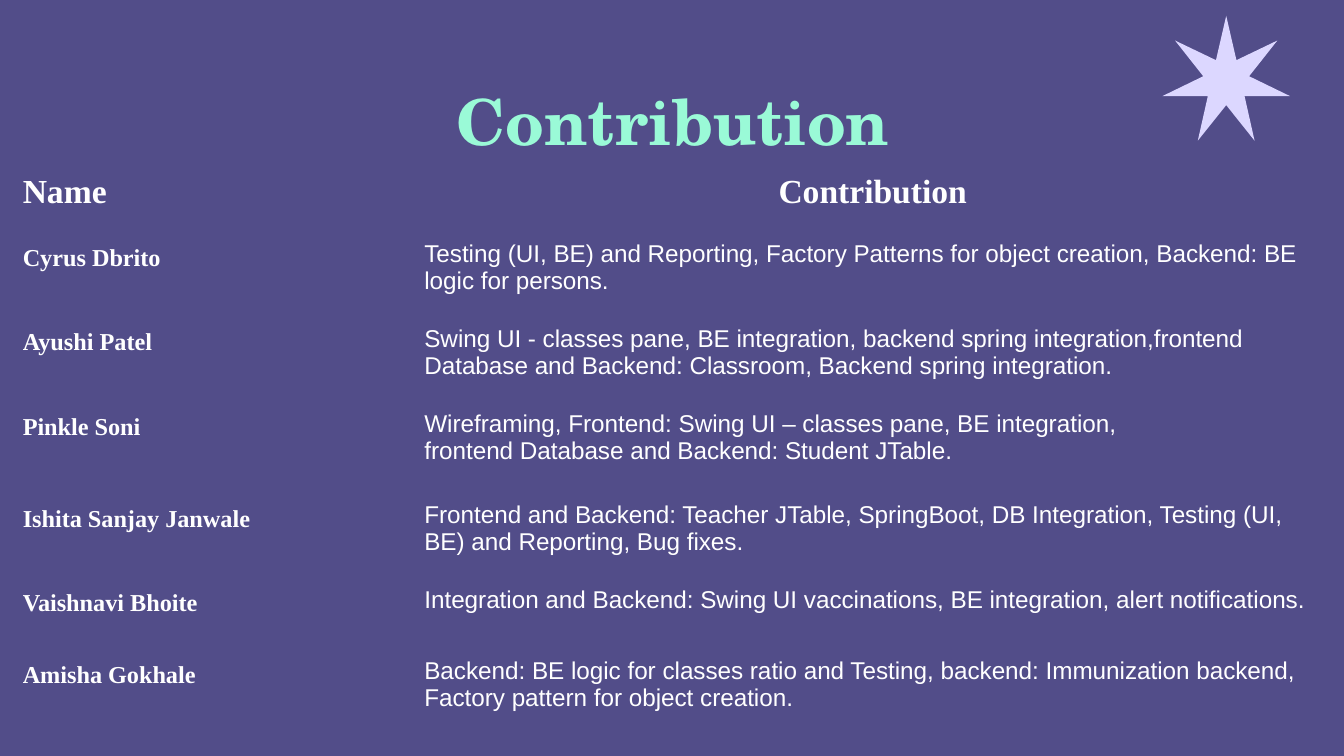
from dataclasses import dataclass

from pptx import Presentation
from pptx.dml.color import RGBColor
from pptx.enum.shapes import MSO_SHAPE
from pptx.enum.text import MSO_ANCHOR, PP_ALIGN
from pptx.util import Cm, Pt

STAR = MSO_SHAPE.STAR_7_POINT
MIDDLE = MSO_ANCHOR.MIDDLE
LEFT, CENTER = PP_ALIGN.LEFT, PP_ALIGN.CENTER
PLAIN_TABLE_STYLE = "{2D5ABB26-0587-4C30-8999-92F81FD0307C}"


@dataclass(frozen=True)
class Theme:
    background: RGBColor = RGBColor(0x52, 0x4D, 0x89)
    star: RGBColor = RGBColor(0xDC, 0xD7, 0xFF)
    title: RGBColor = RGBColor(0x9A, 0xFA, 0xD7)
    body: RGBColor = RGBColor(0xFF, 0xFF, 0xFF)
    title_size: int = 34
    heading_size: int = 18
    body_size: int = 13
    title_font: str = "TeX Gyre Schola"
    name_font: str = "Times New Roman"
    work_font: str = "Arial"


@dataclass(frozen=True)
class TextFormat:
    font: str
    size: int
    color: RGBColor
    bold: bool = True
    align: PP_ALIGN = LEFT
    spacing: float = 1.0


@dataclass(frozen=True)
class Member:
    name: str
    work: str
    height: float


THEME = Theme()
TITLE = TextFormat(THEME.title_font, THEME.title_size, THEME.title, align=CENTER)
NAME_HEADING = TextFormat(THEME.name_font, THEME.heading_size, THEME.body, spacing=1.15)
WORK_HEADING = TextFormat(THEME.name_font, THEME.heading_size, THEME.body,
                          align=CENTER, spacing=1.15)
NAME = TextFormat(THEME.name_font, THEME.body_size, THEME.body, spacing=1.15)
WORK = TextFormat(THEME.work_font, THEME.body_size, THEME.body, bold=False)

PADDING = Cm(0.25)
HEADING_HEIGHT = 1.27
COLUMN_WIDTHS = (7.59, 17.45)
MEMBERS = (
    Member("Cyrus Dbrito",
           "Testing (UI, BE) and Reporting, Factory Patterns for object creation, "
           "Backend: BE logic for persons.", 1.57),
    Member("Ayushi Patel",
           "Swing UI - classes pane, BE integration, backend spring integration,"
           "frontend Database and Backend: Classroom, Backend spring integration.", 1.57),
    Member("Pinkle Soni",
           "Wireframing, Frontend: Swing UI – classes pane, BE integration,\n"
           "frontend Database and Backend: Student JTable.", 1.73),
    Member("Ishita Sanjay Janwale",
           "Frontend and Backend: Teacher JTable, SpringBoot, DB Integration, "
           "Testing (UI, BE) and Reporting, Bug fixes.", 1.32),
    Member("Vaishnavi Bhoite",
           "Integration and Backend: Swing UI vaccinations, BE integration, "
           "alert notifications.", 1.35),
    Member("Amisha Gokhale",
           "Backend: BE logic for classes ratio and Testing, backend: Immunization "
           "backend, Factory pattern for object creation.", 1.55),
)


def set_attributes(target, values: dict) -> None:
    for attribute, value in values.items():
        setattr(target, attribute, value)


def write(frame, text: str, style: TextFormat) -> None:
    frame.text = text
    for paragraph in frame.paragraphs:
        set_attributes(paragraph, {"alignment": style.align, "line_spacing": style.spacing})
        for run in paragraph.runs:
            set_attributes(run.font, {"name": style.font, "size": Pt(style.size),
                                      "bold": style.bold})
            run.font.color.rgb = style.color


def draw_star(slide) -> None:
    star = slide.shapes.add_shape(STAR, Cm(21.97), Cm(0.3), Cm(2.41), Cm(2.36))
    star.adjustments[0] = 0.18
    star.shadow.inherit = False
    star.fill.solid()
    star.fill.fore_color.rgb = THEME.star
    star.line.fill.background()


def draw_title(slide) -> None:
    title = slide.shapes.add_textbox(Cm(2.24), Cm(1.75), Cm(20.96), Cm(1.04))
    set_attributes(title.text_frame, {"word_wrap": True, "vertical_anchor": MIDDLE})
    write(title.text_frame, "Contribution", TITLE)


def fill_cell(cell, text: str, style: TextFormat) -> None:
    set_attributes(cell, dict.fromkeys(
        ("margin_left", "margin_top", "margin_right", "margin_bottom"), PADDING))
    cell.fill.background()
    write(cell.text_frame, text, style)


def draw_contributions(slide) -> None:
    heights = [HEADING_HEIGHT, *(member.height for member in MEMBERS)]
    contributions = slide.shapes.add_table(
        len(heights), len(COLUMN_WIDTHS), Cm(0.18), Cm(2.92),
        Cm(sum(COLUMN_WIDTHS)), Cm(sum(heights))).table
    set_attributes(contributions, {"first_row": False, "horz_banding": False})
    contributions._tbl.tblPr[0].text = PLAIN_TABLE_STYLE
    for column, width in zip(contributions.columns, COLUMN_WIDTHS):
        column.width = Cm(width)
    for row, height in zip(contributions.rows, heights):
        row.height = Cm(height)

    entries = [(("Name", NAME_HEADING), ("Contribution", WORK_HEADING))]
    entries += [((member.name, NAME), (member.work, WORK)) for member in MEMBERS]
    for row, entry in zip(contributions.rows, entries):
        for cell, (text, style) in zip(row.cells, entry):
            fill_cell(cell, text, style)


def main() -> None:
    deck = Presentation()
    set_attributes(deck, {"slide_width": Cm(25.4), "slide_height": Cm(14.29)})
    slide = deck.slides.add_slide(deck.slide_layouts[6])
    slide.background.fill.solid()
    slide.background.fill.fore_color.rgb = THEME.background
    draw_star(slide)
    draw_title(slide)
    draw_contributions(slide)
    deck.save("out.pptx")


if __name__ == "__main__":
    main()
